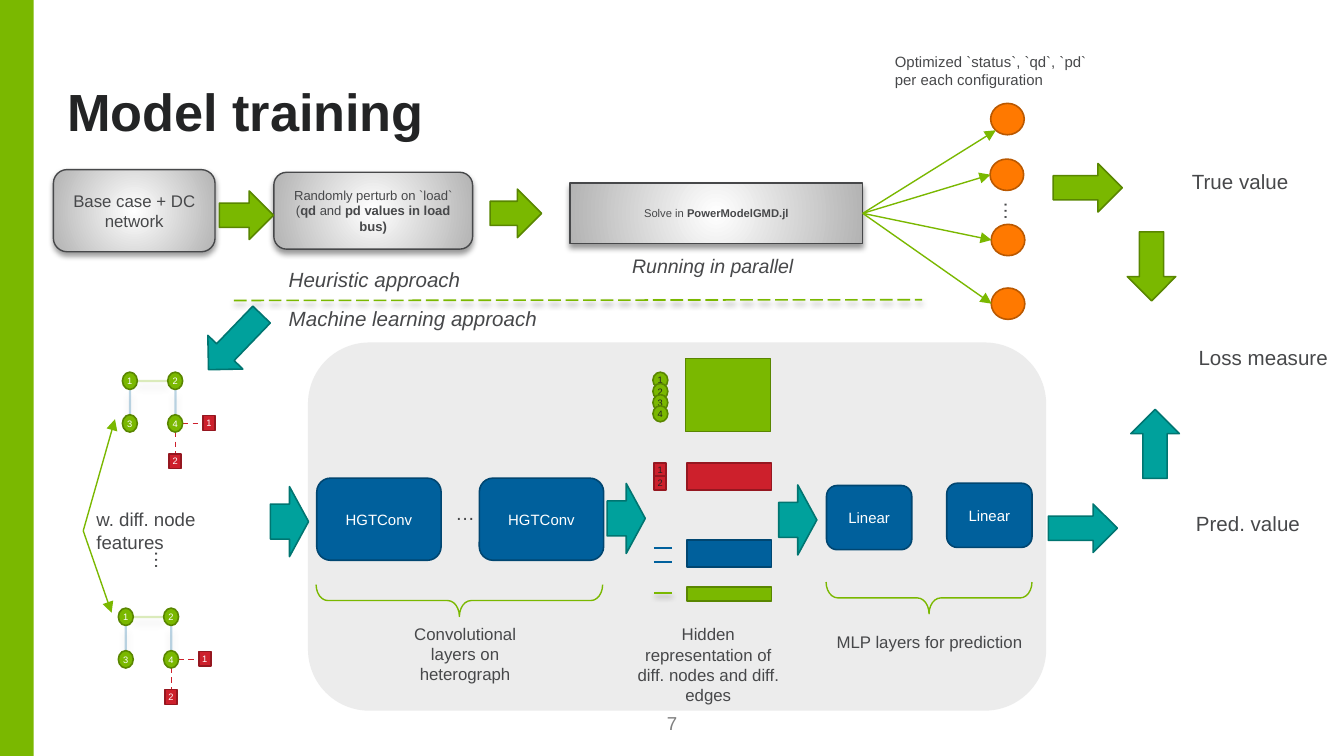
from dataclasses import dataclass

from lxml import etree
from pptx import Presentation
from pptx.dml.color import RGBColor
from pptx.enum.dml import MSO_LINE
from pptx.enum.shapes import MSO_CONNECTOR, MSO_SHAPE
from pptx.enum.text import MSO_ANCHOR, MSO_AUTO_SIZE, PP_ALIGN
from pptx.oxml.ns import qn
from pptx.util import Pt

RECT, ROUND, OVAL = MSO_SHAPE.RECTANGLE, MSO_SHAPE.ROUNDED_RECTANGLE, MSO_SHAPE.OVAL
ARROW, BRACE = MSO_SHAPE.RIGHT_ARROW, MSO_SHAPE.RIGHT_BRACE
STRAIGHT = MSO_CONNECTOR.STRAIGHT
DASH, LONG_DASH = MSO_LINE.DASH, MSO_LINE.LONG_DASH
LEFT, CENTER = PP_ALIGN.LEFT, PP_ALIGN.CENTER
TOP, MIDDLE, BOTTOM = MSO_ANCHOR.TOP, MSO_ANCHOR.MIDDLE, MSO_ANCHOR.BOTTOM


@dataclass(frozen=True)
class Theme:
    font: str = "Arial"
    title: str = "232425"
    text: str = "47484A"
    muted: str = "7F7F7F"
    white: str = "FFFFFF"
    dark: str = "222222"
    silver: str = "B3B3B3"
    panel: str = "DADADA"
    green: tuple = ("7AB800", "598600")
    teal: tuple = ("00A19C", "007571")
    blue: tuple = ("00609C", "004671")
    red: tuple = ("CD202C", "951720")
    orange: tuple = ("FF7900", "BA5800")
    title_size: float = 28
    label_size: float = 11
    note_size: float = 10.5
    body_size: float = 10
    caption_size: float = 9
    block_size: float = 8
    perturb_size: float = 7
    solver_size: float = 6
    node_size: float = 5
    outline: float = 0.85
    thin: float = 0.75
    edge: float = 1.2


THEME = Theme()


def rgb(value):
    return RGBColor.from_string(value)


def set_alpha(element, percent):
    for color in element.iter(qn("a:srgbClr")):
        etree.SubElement(color, qn("a:alpha"), val=str(percent * 1000))


def set_shadow(properties, blur, distance):
    """Give the shape properties a soft shadow straight below; blur 0 means none."""
    effects = properties.find(qn("a:effectLst"))
    if effects is None:
        effects = etree.SubElement(properties, qn("a:effectLst"))
    if blur:
        shadow = etree.SubElement(
            effects, qn("a:outerShdw"), blurRad=str(Pt(blur)), dist=str(Pt(distance)),
            dir="5400000", rotWithShape="0")
        etree.SubElement(shadow, qn("a:srgbClr"), val="000000")
        set_alpha(shadow, 40)


def write_text(shape, text, size, color, align=CENTER, anchor=MIDDLE, italic=False, inset=(7.2, 3.6)):
    """Write one paragraph per line; parts between ** marks are bold."""
    frame = shape.text_frame
    frame.word_wrap = True
    frame.auto_size = MSO_AUTO_SIZE.NONE
    frame.vertical_anchor = anchor
    frame.margin_left = frame.margin_right = Pt(inset[0])
    frame.margin_top = frame.margin_bottom = Pt(inset[1])
    for number, line in enumerate(text.split("\n")):
        paragraph = frame.add_paragraph() if number else frame.paragraphs[0]
        paragraph.alignment = align
        for index, part in enumerate(line.split("**")):
            if part:
                run = paragraph.add_run()
                run.text = part
                run.font.name, run.font.size = THEME.font, Pt(size)
                run.font.color.rgb = rgb(color)
                run.font.bold, run.font.italic = index % 2 == 1, italic


def add_label(slide, box, text, size, align=LEFT, rotation=0, color=THEME.text, **options):
    label = slide.shapes.add_textbox(*map(Pt, box))
    label.rotation = rotation
    write_text(label, text, size, color, align, **{"anchor": TOP, **options})


def add_block(slide, kind, box, fill=None, line=None, rotation=0, width=THEME.outline):
    shape = slide.shapes.add_shape(kind, *map(Pt, box))
    shape.rotation = rotation
    shape.shadow.inherit = False
    if fill:
        shape.fill.solid()
        shape.fill.fore_color.rgb = rgb(fill)
    else:
        shape.fill.background()
    if line:
        shape.line.color.rgb = rgb(line)
        shape.line.width = Pt(width)
    else:
        shape.line.fill.background()
    return shape


def add_node(slide, kind, box, colors, number, color=THEME.white):
    node = add_block(slide, kind, box, *colors)
    write_text(node, str(number), THEME.node_size, color, inset=(0, 0))


def add_step(slide, kind, box, text, size):
    """Add a silver box with a radial gradient and a shadow."""
    step = add_block(slide, kind, box, THEME.white, THEME.text, width=THEME.thin)
    step.fill.gradient()
    for stop, color, position in zip(step.fill.gradient_stops, (THEME.white, THEME.silver), (0, 1)):
        stop.color.rgb, stop.position = rgb(color), position
    properties = step._element.spPr
    linear = properties.find(".//" + qn("a:lin"))
    path = etree.Element(qn("a:path"), path="circle")
    etree.SubElement(path, qn("a:fillToRect"), l="50000", t="50000", r="50000", b="50000")
    linear.getparent().replace(linear, path)
    set_shadow(properties, 3, 2)
    write_text(step, text, size, THEME.text)


def add_line(slide, start, end, color, width=THEME.thin, dash=None, arrow=False, alpha=None, shadow=(0, 0)):
    connector = slide.shapes.add_connector(STRAIGHT, *map(Pt, (*start, *end)))
    connector.line.color.rgb = rgb(color)
    connector.line.width = Pt(width)
    if dash:
        connector.line.dash_style = dash
    properties = connector._element.spPr
    outline = properties.find(qn("a:ln"))
    if arrow:
        etree.SubElement(outline, qn("a:tailEnd"), type="triangle")
    if alpha:
        set_alpha(outline, alpha)
    set_shadow(properties, *shadow)


def add_graph(slide, left, top):
    """Draw four bus nodes, their edges and two red nodes hung on node 4."""
    for start, end, color in (((8, 4.7), (24.4, 4.7), THEME.green),
                              ((4, 9.4), (4, 22.7), THEME.blue),
                              ((28.4, 9.4), (28.4, 22.7), THEME.blue)):
        add_line(slide, (left + start[0], top + start[1]), (left + end[0], top + end[1]),
                 color[0], THEME.edge, alpha=25, shadow=(4, 3.4))
    for start, end in (((32.4, 27.4), (43.2, 27.4)), ((28.4, 32), (28.4, 43.8))):
        add_line(slide, (left + start[0], top + start[1]), (left + end[0], top + end[1]),
                 THEME.red[0], dash=DASH)
    for index in range(4):
        row, column = divmod(index, 2)
        box = (left + 24.3 * column, top + 22.8 * row, 8, 9.3)
        add_node(slide, OVAL, box, THEME.green, index + 1)
    for number, (x, y) in enumerate(((43.1, 23.2), (25, 43.7)), 1):
        add_node(slide, RECT, (left + x, top + y, 6.5, 8), THEME.red, number)


def add_title(slide):
    title = slide.shapes.title
    title.left, title.top, title.width, title.height = map(Pt, (36, 28, 659.5, 49))
    write_text(title, "**Model training**", THEME.title_size, THEME.title, LEFT, BOTTOM, inset=(0, 0))
    title.text_frame.paragraphs[0].line_spacing = 0.95


def add_inputs(slide):
    add_graph(slide, 65.6, 199.4)
    add_graph(slide, 63.4, 325.8)
    add_label(slide, (75.6, 289.4, 23, 20.2), "…", THEME.note_size, rotation=90)
    add_label(slide, (44.6, 268.6, 87.8, 31.7), "w. diff. node features", THEME.body_size)
    for end in ((59.8, 328.3), (61.6, 224.6)):
        add_line(slide, (44.6, 284.4), end, THEME.green[0], arrow=True)


def add_network(slide):
    for left, top in ((144.9, 260.7), (325.3, 259), (417.2, 259.8)):
        add_block(slide, ARROW, (left, top, 20.4, 37.5), *THEME.teal)
    for box, text in (((169.7, 256.2, 66.6, 44), "HGTConv"), ((256.8, 256.2, 66.6, 44), "HGTConv"),
                      ((442.8, 260.1, 45.7, 34.4), "Linear"), ((507.2, 258.9, 45.7, 34.4), "Linear")):
        write_text(add_block(slide, ROUND, box, *THEME.blue), text, THEME.block_size, THEME.white)
    add_label(slide, (236.9, 265, 20.9, 20.2), "…", THEME.note_size)

    for index in range(4):
        add_node(slide, OVAL, (349.8, 199.4 + 6 * index, 8, 8.6), THEME.green, index + 1, THEME.dark)
    for index in range(2):
        add_node(slide, RECT, (350.4, 248 + 7 * index, 6.5, 7.6), THEME.red, index + 1, THEME.dark)
    for box, colors in (((367.2, 192.1, 45.6, 39.2), THEME.green), ((367.9, 248.2, 45.4, 14.5), THEME.red),
                        ((367.9, 289.2, 45.4, 14.5), THEME.blue), ((367.9, 314.5, 45.4, 7.5), THEME.green)):
        add_block(slide, RECT, box, *colors)
    for y in (293.6, 301.1):
        add_line(slide, (350.3, y), (360, y), THEME.blue[0])
    add_line(slide, (350.6, 317.6), (360, 317.6), THEME.green[0], THEME.outline, shadow=(3, 2))

    for box in ((237.6, 245, 17, 153.5), (489.2, 265.2, 17, 110.3)):
        brace = add_block(slide, BRACE, box, line=THEME.green[0], rotation=90, width=THEME.thin)
        brace.adjustments[0] = 0.37
    for box, text in (((203.8, 330.5, 90.7, 40.3), "Convolutional layers on\nheterograph"),
                      ((331.2, 330.8, 96.5, 51.1), "Hidden representation of\ndiff. nodes and diff. edges"),
                      ((436.3, 335, 123.1, 18), "MLP layers for prediction")):
        add_label(slide, box, text, THEME.caption_size, CENTER)


def add_heuristic(slide):
    add_step(slide, ROUND, (28.6, 90.9, 86.6, 44), "Base case + DC network", THEME.caption_size)
    add_step(slide, ROUND, (146.7, 92.3, 106.5, 41.2),
             "Randomly perturb on `load` (**qd **and** pd values in load bus)**", THEME.perturb_size)
    add_step(slide, RECT, (305.4, 98, 156.6, 32.4), "Solve in **PowerModelGMD.jl**", THEME.solver_size)
    for (left, top), end in zip(((530.7, 55.4), (530.4, 85.2), (531, 120.2), (531, 154.3)),
                                ((533.5, 69.8), (530.6, 93.6), (531.2, 128.6), (531.2, 162.7))):
        add_block(slide, OVAL, (left, top, 18, 16.8), *THEME.orange)
        add_line(slide, (462.2, 114.3), end, THEME.green[0], arrow=True)
    add_label(slide, (529.2, 103.7, 25.9, 20.2), "…", THEME.note_size, rotation=90)
    add_label(slide, (472.3, 24.5, 120.2, 26.6),
              "Optimized `status`, `qd`, `pd`\nper each configuration", THEME.block_size)
    add_label(slide, (331.6, 132.6, 106.6, 20.2), "Running in parallel", THEME.note_size, italic=True)


def add_flow(slide):
    for left, top, width, rotation, colors in (
            (262.6, 101.3, 27.6, 0, THEME.green), (117.5, 102.3, 29, 0, THEME.green),
            (564.2, 87.6, 37, 0, THEME.green), (561.6, 270, 37, 0, THEME.teal),
            (105.4, 170.3, 41, 133.9, THEME.teal), (598.4, 129.7, 37, 90, THEME.green),
            (600.3, 224.8, 37, 270, THEME.teal)):
        add_block(slide, ARROW, (left, top, width, 26), *colors, rotation)
    for left, top, width, text in ((631.4, 87.1, 68, "True value"), (633.6, 270, 72, "Pred. value"),
                                   (635, 181.5, 85, "Loss measure")):
        add_label(slide, (left, top, width, 20.9), text, THEME.label_size)
    add_line(slide, (125.3, 161), (494, 160.6), THEME.green[0], THEME.outline, LONG_DASH, shadow=(3, 2))
    for top, text in ((139.4, "Heuristic approach"), (160.4, "Machine learning approach")):
        add_label(slide, (147.6, top, 152, 20.9), text, THEME.label_size, italic=True)


def main():
    presentation = Presentation()
    presentation.slide_width, presentation.slide_height = Pt(720), Pt(405)
    slide = presentation.slides.add_slide(presentation.slide_layouts[5])
    add_block(slide, RECT, (0, 0, 18, 405), THEME.green[0])
    add_title(slide)
    add_label(slide, (342, 382.3, 36, 10.8), "7", THEME.body_size, CENTER,
              color=THEME.muted, anchor=BOTTOM, inset=(0, 0))
    panel = add_block(slide, ROUND, (165, 183.5, 395.5, 197.3), THEME.panel)
    set_alpha(panel._element.spPr, 50)
    add_inputs(slide)
    add_network(slide)
    add_heuristic(slide)
    add_flow(slide)
    presentation.save("out.pptx")


if __name__ == "__main__":
    main()
